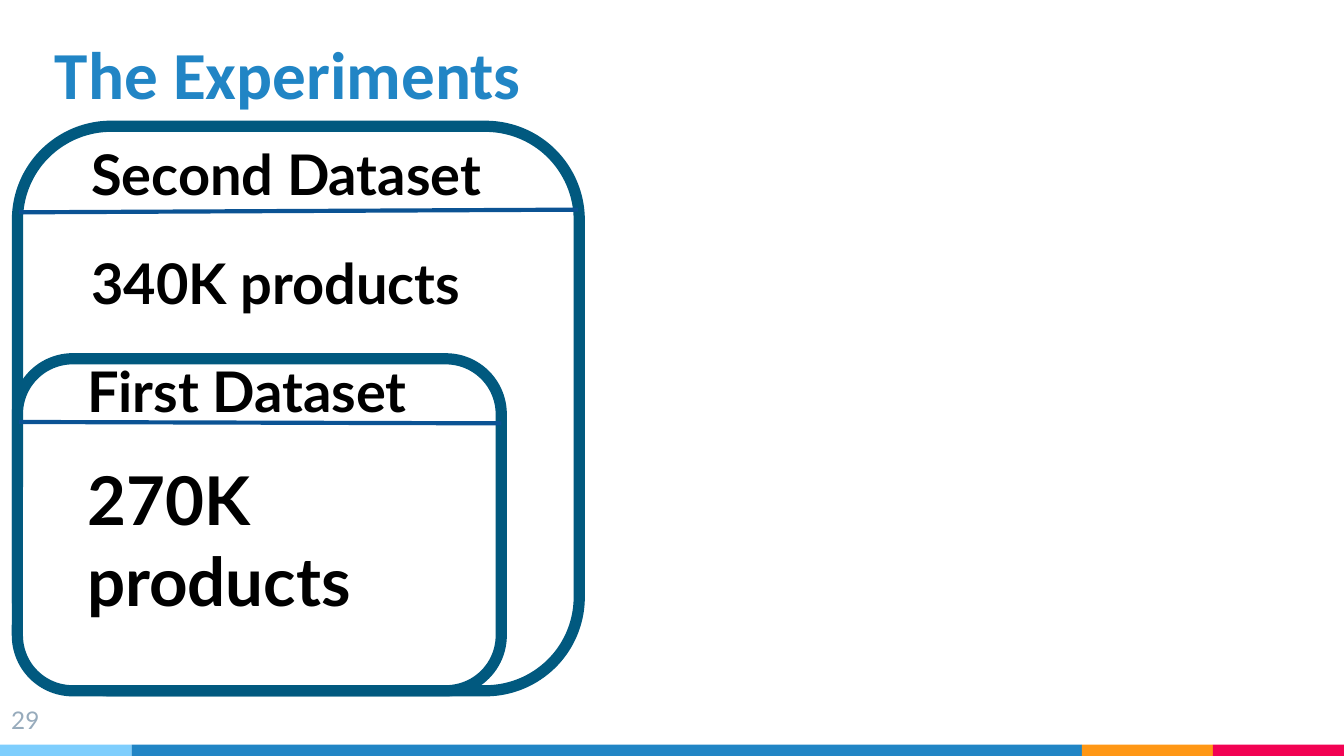
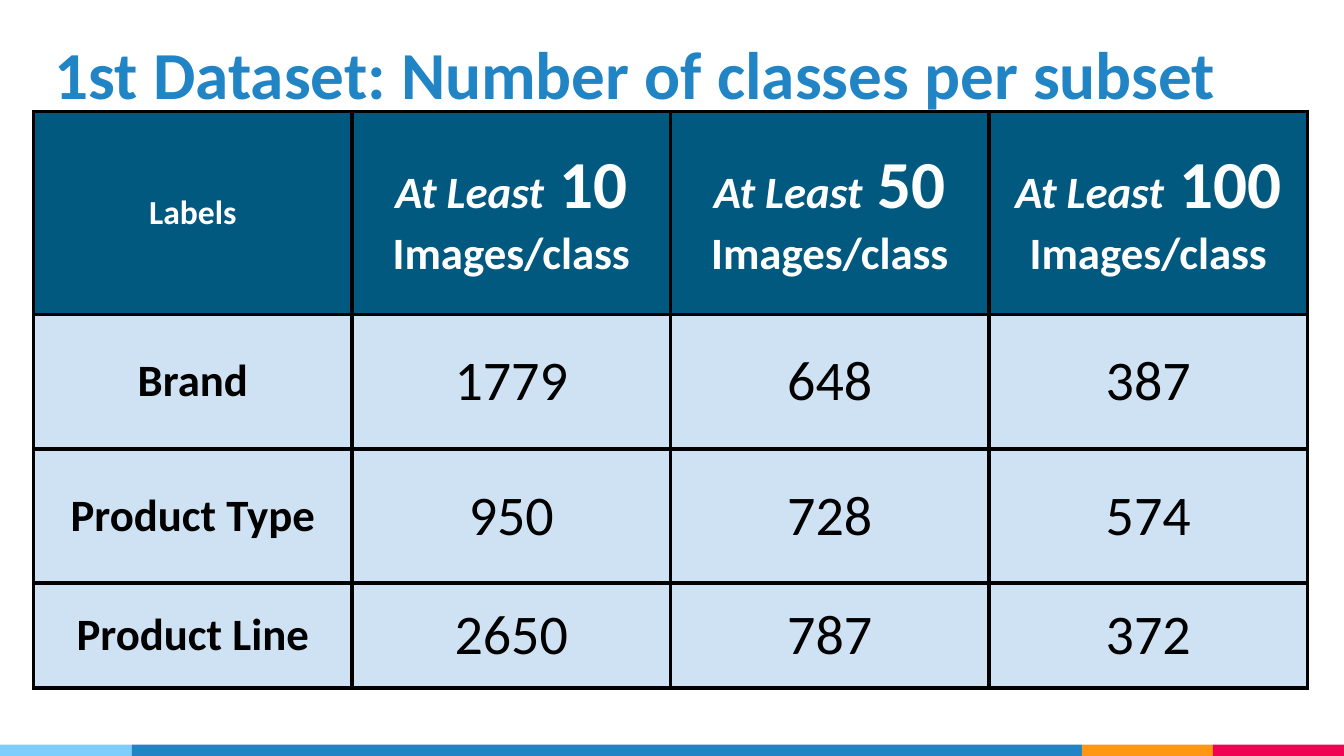
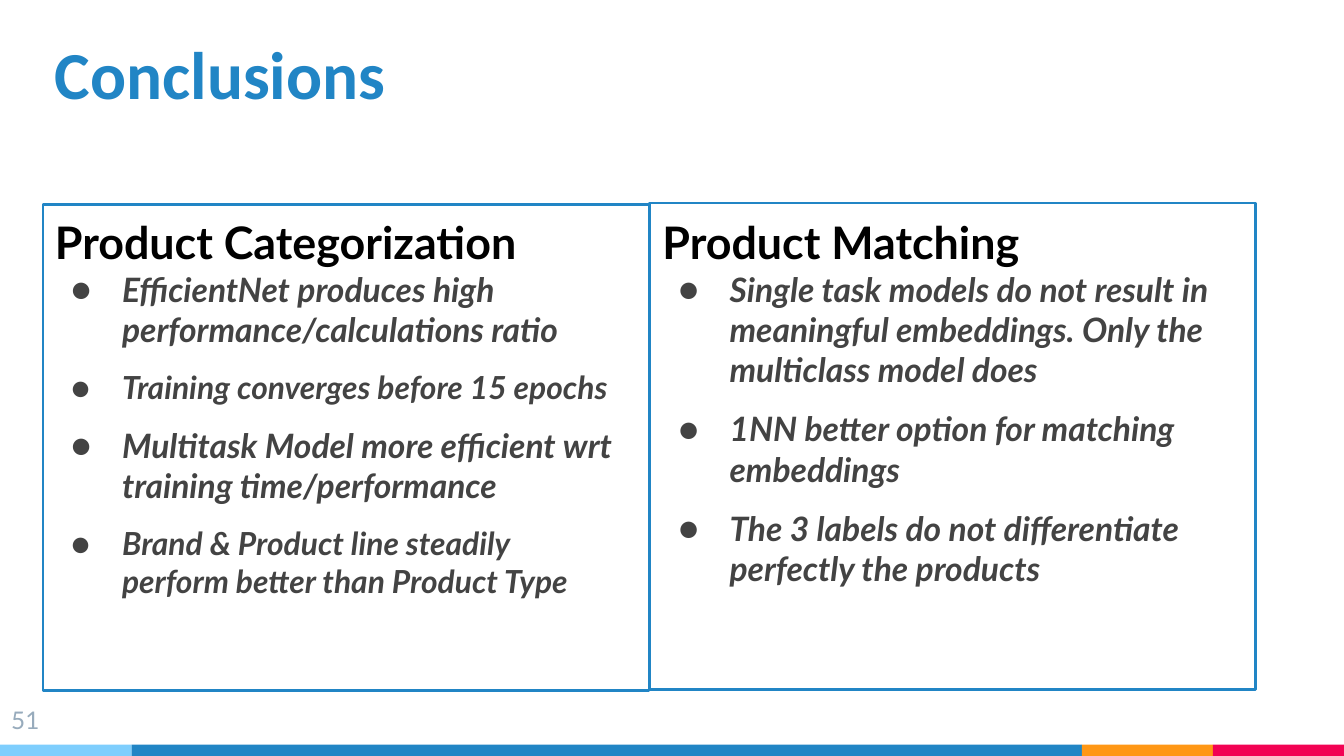
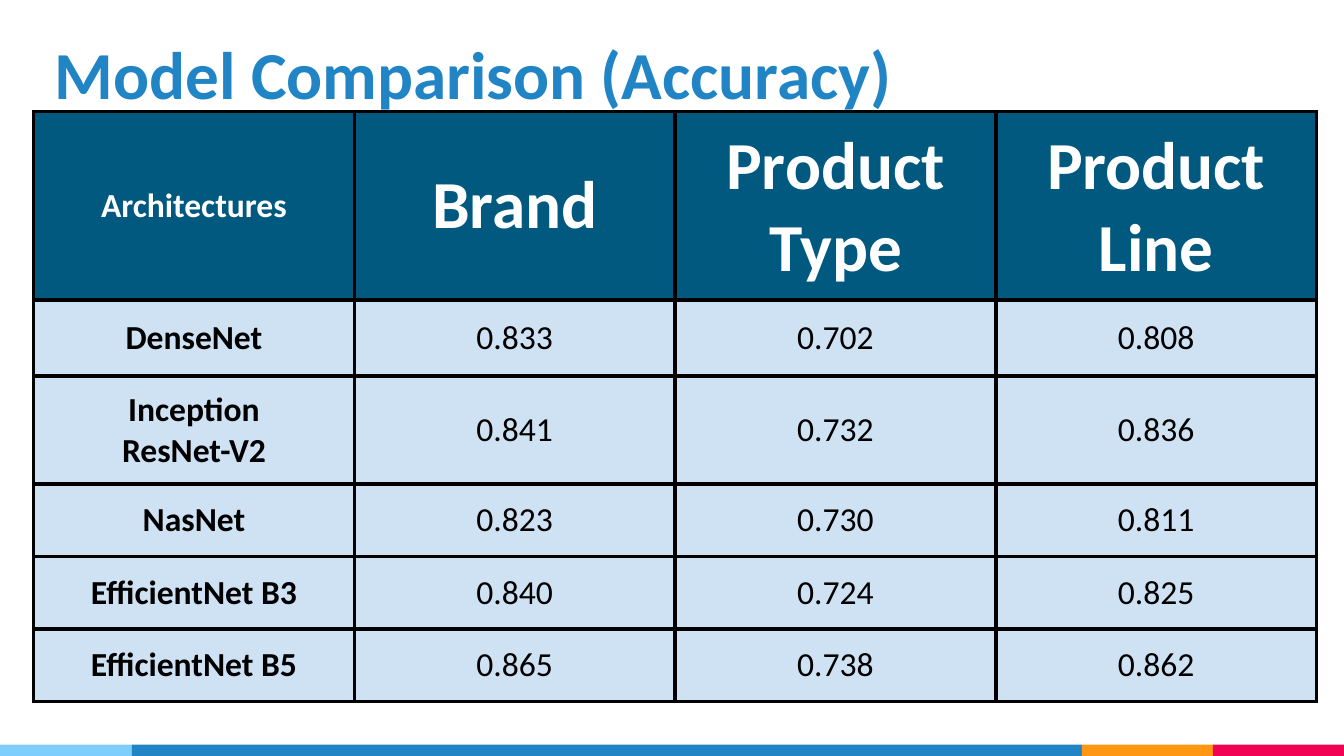
from dataclasses import dataclass
from typing import NamedTuple

from lxml import etree
from pptx import Presentation
from pptx.dml.color import RGBColor
from pptx.enum.shapes import MSO_CONNECTOR, MSO_SHAPE
from pptx.enum.text import MSO_ANCHOR, PP_ALIGN
from pptx.oxml.ns import qn
from pptx.util import Inches, Length, Pt

RECT, ROUNDED = MSO_SHAPE.RECTANGLE, MSO_SHAPE.ROUNDED_RECTANGLE
STRAIGHT = MSO_CONNECTOR.STRAIGHT
TOP, MIDDLE, BOTTOM = MSO_ANCHOR.TOP, MSO_ANCHOR.MIDDLE, MSO_ANCHOR.BOTTOM
LEFT, CENTER, RIGHT = PP_ALIGN.LEFT, PP_ALIGN.CENTER, PP_ALIGN.RIGHT

# Square grid: 100 columns across the slide, 56.25 rows down
COLUMNS, ROWS = 100, 56.25
CELL = 0.1


@dataclass(frozen=True)
class Theme:
    heading_font: str = "Calibri"
    body_font: str = "Lato"
    white: str = "FFFFFF"
    black: str = "000000"
    blue: str = "2185C5"
    sky: str = "7ECEFD"
    orange: str = "FF9715"
    pink: str = "F20253"
    petrol: str = "01597F"
    divider: str = "0B5394"
    pale: str = "CFE2F3"
    gray: str = "434343"
    page_gray: str = "97ABBC"
    display: int = 36
    large: int = 30
    medium: int = 24
    body: int = 18
    tight: int = 17
    page: int = 13
    frame_line: float = 6
    rule_line: float = 2.25
    panel_line: float = 1.5


THEME = Theme()


class Box(NamedTuple):
    col: float
    row: float
    cols: float
    rows: float


class Run(NamedTuple):
    text: str
    size: float
    color: str = THEME.black
    bold: bool = True
    italic: bool = False
    font: str = THEME.body_font


class Para(NamedTuple):
    runs: list[Run]
    align: PP_ALIGN = LEFT
    bulleted: bool = False
    before: float = 0
    after: float = 0


class Band(NamedTuple):
    col: float
    cols: float
    color: str


class Dataset(NamedTuple):
    frame: Box
    rule: tuple[float, float, float, float]
    name: Run
    name_box: Box
    count: Run
    count_box: Box


class Panel(NamedTuple):
    frame: Box
    text_box: Box
    heading: str
    points: list[tuple[str, int]]


class Grid(NamedTuple):
    col_width: float
    row_heights: list[float]
    header: list[list[Run]]
    value_size: int
    label_size: int
    rows: list[list[str]]


BANDS = [
    Band(0, 9.8, THEME.sky),
    Band(9.8, 70.7, THEME.blue),
    Band(80.5, 9.75, THEME.orange),
    Band(90.25, 9.75, THEME.pink),
]


# Drawing helpers
def cells(count: float) -> Length:
    return Inches(count * CELL)


def rgb(color: str) -> RGBColor:
    return RGBColor.from_string(color)


def add_box(slide, kind, box: Box, fill: str, line: str = "", width: float = 0) -> None:
    shape = slide.shapes.add_shape(kind, *map(cells, box))
    shape.shadow.inherit = False
    shape.fill.solid()
    shape.fill.fore_color.rgb = rgb(fill)
    if line:
        shape.line.color.rgb = rgb(line)
        shape.line.width = Pt(width)
    else:
        shape.line.fill.background()


def add_rule(slide, ends: tuple[float, float, float, float]) -> None:
    rule = slide.shapes.add_connector(STRAIGHT, *map(cells, ends))
    rule.line.color.rgb = rgb(THEME.divider)
    rule.line.width = Pt(THEME.rule_line)
    etree.SubElement(rule._element.spPr, qn("a:effectLst"))


def set_bullet(paragraph) -> None:
    props = paragraph._p.get_or_add_pPr()
    props.set("marL", str(Inches(0.5)))
    props.set("indent", str(Inches(-0.38)))
    color = etree.SubElement(props, qn("a:buClr"))
    etree.SubElement(color, qn("a:srgbClr"), val=THEME.gray)
    etree.SubElement(props, qn("a:buFont"), typeface=THEME.body_font)
    etree.SubElement(props, qn("a:buChar"), char="●")


def write(frame, paras: list[Para]) -> None:
    for index, para in enumerate(paras):
        paragraph = frame.paragraphs[0] if index == 0 else frame.add_paragraph()
        paragraph.alignment = para.align
        paragraph.space_before, paragraph.space_after = Pt(para.before), Pt(para.after)
        if para.bulleted:
            set_bullet(paragraph)
        for part in para.runs:
            run = paragraph.add_run()
            run.text = part.text
            run.font.name = part.font
            run.font.size = Pt(part.size)
            run.font.bold, run.font.italic = part.bold, part.italic
            run.font.color.rgb = rgb(part.color)


def add_text(slide, box: Box, paras: list[Para], anchor: MSO_ANCHOR = TOP) -> None:
    frame = slide.shapes.add_textbox(*map(cells, box)).text_frame
    frame.word_wrap = True
    frame.vertical_anchor = anchor
    frame.margin_left = frame.margin_right = cells(1)
    frame.margin_top = frame.margin_bottom = cells(1)
    write(frame, paras)


def set_borders(cell) -> None:
    props = cell._tc.get_or_add_tcPr()
    for side in ("lnL", "lnR", "lnT", "lnB"):
        line = etree.SubElement(props, qn(f"a:{side}"), w=str(Pt(THEME.rule_line)))
        fill = etree.SubElement(line, qn("a:solidFill"))
        etree.SubElement(fill, qn("a:srgbClr"), val=THEME.black)


def fill_cell(cell, fill: str, lines: list[list[Run]]) -> None:
    set_borders(cell)
    cell.fill.solid()
    cell.fill.fore_color.rgb = rgb(fill)
    cell.vertical_anchor = MIDDLE
    cell.margin_left = cell.margin_right = cells(1)
    cell.margin_top = cell.margin_bottom = cells(1)
    write(cell.text_frame, [Para(runs, CENTER) for runs in lines])


def add_grid(slide, grid: Grid) -> None:
    col_count = len(grid.header)
    box = Box(2.5, 8.3, grid.col_width * col_count, sum(grid.row_heights))
    table = slide.shapes.add_table(len(grid.row_heights), col_count, *map(cells, box)).table
    for column in table.columns:
        column.width = cells(grid.col_width)
    for row, height in zip(table.rows, grid.row_heights):
        row.height = cells(height)
    for c, runs in enumerate(grid.header):
        fill_cell(table.cell(0, c), THEME.petrol, [runs])
    for r, values in enumerate(grid.rows, start=1):
        for c, value in enumerate(values):
            is_label = c == 0
            size = grid.label_size if is_label else grid.value_size
            lines = [[Run(line, size, bold=is_label, font=THEME.heading_font)]
                     for line in value.split("\n")]
            fill_cell(table.cell(r, c), THEME.pale, lines)


def header_run(text: str, size: int, italic: bool = False) -> Run:
    return Run(text, size, THEME.white, italic=italic, font=THEME.heading_font)


# Parts shared by all slides
def start_slide(deck):
    slide = deck.slides.add_slide(deck.slide_layouts[6])
    for band in BANDS:
        add_box(slide, RECT, Box(band.col, 55.4, band.cols, ROWS - 55.4), band.color)
    return slide


def add_title(slide, text: str, cols: float = 70.7) -> None:
    title = Run(text, THEME.display, THEME.blue, font=THEME.heading_font)
    add_text(slide, Box(3.1, 0, cols, 9.4), [Para([title])], BOTTOM)


def add_page_number(slide, number: int) -> None:
    page = Run(str(number), THEME.page, THEME.page_gray, bold=False)
    add_text(slide, Box(-0.6, 51.5, 4.5, 3.9), [Para([page], RIGHT)])


# Slide content, outer dataset first
DATASETS = [
    Dataset(Box(1.3, 9.4, 41.8, 42), (1.4, 15.8, 43, 15.6),
            Run("Second Dataset", THEME.large), Box(5.8, 9.4, 32.8, 5.2),
            Run("340K products", THEME.large), Box(5.8, 17.5, 32.8, 5.2)),
    Dataset(Box(1.3, 26.7, 36, 24.7), (1.4, 31.4, 37.3, 31.5),
            Run("First Dataset", THEME.large), Box(5.5, 25.5, 27.7, 5.2),
            Run("270K products", THEME.display), Box(5.5, 33.1, 29.3, 5.2)),
]

CLASS_COUNTS = Grid(
    23.7, [15.1, 10, 10, 7.8],
    [[header_run("Labels", THEME.body)]] + [
        [header_run("At Least", THEME.medium, italic=True),
         header_run(f" {minimum}", THEME.display),
         header_run(" Images/class", THEME.medium)]
        for minimum in (10, 50, 100)
    ],
    THEME.large, THEME.medium,
    [["Brand", "1779", "648", "387"],
     ["Product Type", "950", "728", "574"],
     ["Product Line", "2650", "787", "372"]],
)

PANELS = [
    Panel(Box(48.3, 15.1, 45.1, 36.2), Box(48.3, 15, 43.5, 36.3), "Product Matching", [
        ("Single task models do not result in meaningful embeddings. "
         "Only the multiclass model does", THEME.body),
        ("1NN better option for matching embeddings", THEME.body),
        ("The 3 labels do not differentiate perfectly the products", THEME.body),
    ]),
    Panel(Box(3.2, 15.2, 45.1, 36.2), Box(3.1, 15, 43.5, 36.3), "Product Categorization", [
        ("EfficientNet produces high performance/calculations ratio", THEME.body),
        ("Training converges before 15 epochs", THEME.tight),
        ("Multitask Model more efficient wrt training time/performance", THEME.body),
        ("Brand & Product line steadily perform better than Product Type", THEME.tight),
    ]),
]

ACCURACIES = Grid(
    23.87, [13.8, 5.7, 7.9, 5.4, 5.4, 5.4],
    [[header_run("Architectures", THEME.body)]] + [
        [header_run(label, THEME.display)]
        for label in ("Brand", "Product Type", "Product Line")
    ],
    THEME.body, THEME.body,
    [["DenseNet", "0.833", "0.702", "0.808"],
     ["Inception\nResNet-V2", "0.841", "0.732", "0.836"],
     ["NasNet", "0.823", "0.730", "0.811"],
     ["EfficientNet B3", "0.840", "0.724", "0.825"],
     ["EfficientNet B5", "0.865", "0.738", "0.862"]],
)


# Slides
def build_experiments(deck) -> None:
    slide = start_slide(deck)
    add_title(slide, "The Experiments")
    for dataset in DATASETS:
        add_box(slide, ROUNDED, dataset.frame, THEME.white, THEME.petrol, THEME.frame_line)
    for dataset in DATASETS:
        add_rule(slide, dataset.rule)
        add_text(slide, dataset.name_box, [Para([dataset.name])])
        add_text(slide, dataset.count_box, [Para([dataset.count])])
    add_page_number(slide, 29)


def build_grid_slide(deck, title: str, title_cols: float, grid: Grid) -> None:
    slide = start_slide(deck)
    add_title(slide, title, title_cols)
    add_grid(slide, grid)


def build_conclusions(deck) -> None:
    slide = start_slide(deck)
    for panel in PANELS:
        add_box(slide, RECT, panel.frame, THEME.white, THEME.blue, THEME.panel_line)
    add_title(slide, "Conclusions", 49.1)
    for panel in PANELS:
        points = [
            Para([Run(text, size, THEME.gray, italic=True)],
                 bulleted=True, before=10 if index else 0)
            for index, (text, size) in enumerate(panel.points)
        ]
        add_text(slide, panel.text_box, [Para([Run(panel.heading, THEME.medium)]), *points])
    add_page_number(slide, 51)


def main() -> None:
    deck = Presentation()
    deck.slide_width, deck.slide_height = cells(COLUMNS), cells(ROWS)
    build_experiments(deck)
    build_grid_slide(deck, "1st Dataset: Number of classes per subset", 96.9, CLASS_COUNTS)
    build_conclusions(deck)
    build_grid_slide(deck, "Model Comparison (Accuracy)", 70.7, ACCURACIES)
    deck.save("out.pptx")


if __name__ == "__main__":
    main()
